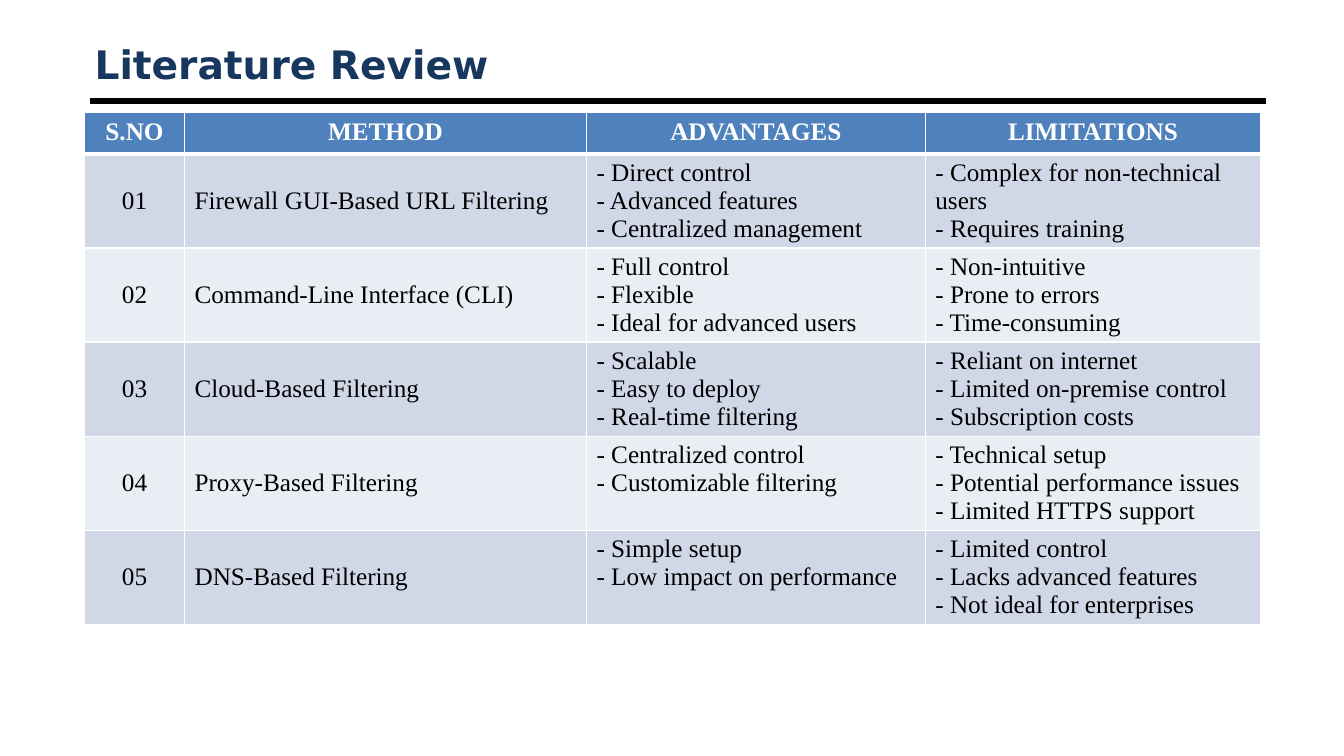
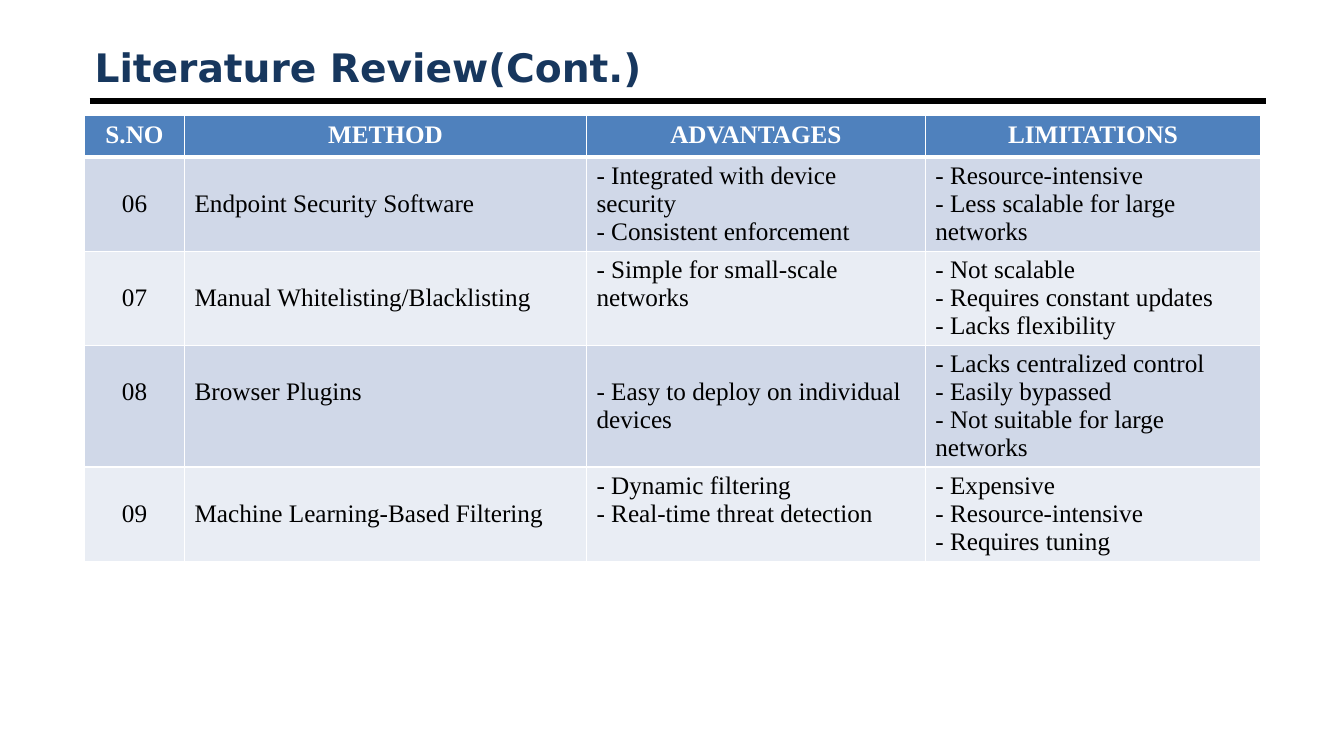
from lxml import etree
from pptx import Presentation, oxml
from pptx.dml.color import RGBColor
from pptx.enum import shapes, text
from pptx.util import Cm, Pt

NAVY, BLUE, BLACK, WHITE = "17375E", "4F81BD", "000000", "FFFFFF"
BANDS = ["D0D8E8", "E9EDF4"]
DRAWING_NS = "http://schemas.openxmlformats.org/drawingml/2006/main"

LEFT, WIDTH = 2.13, 29.64
COLUMN_WIDTHS = [2.52, 10.13, 8.54, 8.45]
HEADER_HEIGHT, ROW_HEIGHT, TALL_ROW_HEIGHT = 1.04, 2.37, 3.07
SECOND_LINE_MARGIN = 0.83  # starts the cell text level with the second line
TALL_ROW = "08"

HEADINGS = ["S.NO", "METHOD", "ADVANTAGES", "LIMITATIONS"]
REVIEWS = [
    ("Literature Review", 0.94, 2.84, [
        ("01", "Firewall GUI-Based URL Filtering",
         "- Direct control\n- Advanced features\n- Centralized management",
         "- Complex for non-technical users\n- Requires training"),
        ("02", "Command-Line Interface (CLI)",
         "- Full control\n- Flexible\n- Ideal for advanced users",
         "- Non-intuitive\n- Prone to errors\n- Time-consuming"),
        ("03", "Cloud-Based Filtering",
         "- Scalable\n- Easy to deploy\n- Real-time filtering",
         "- Reliant on internet\n- Limited on-premise control\n- Subscription costs"),
        ("04", "Proxy-Based Filtering",
         "- Centralized control\n- Customizable filtering",
         "- Technical setup\n- Potential performance issues\n- Limited HTTPS support"),
        ("05", "DNS-Based Filtering",
         "- Simple setup\n- Low impact on performance",
         "- Limited control\n- Lacks advanced features\n- Not ideal for enterprises"),
    ]),
    ("Literature Review(Cont.)", 1.02, 2.92, [
        ("06", "Endpoint Security Software",
         "- Integrated with device security\n- Consistent enforcement",
         "- Resource-intensive\n- Less scalable for large networks"),
        ("07", "Manual Whitelisting/Blacklisting",
         "- Simple for small-scale networks",
         "- Not scalable\n- Requires constant updates\n- Lacks flexibility"),
        ("08", "Browser Plugins",
         "- Easy to deploy on individual devices",
         "- Lacks centralized control\n- Easily bypassed\n- Not suitable for large networks"),
        ("09", "Machine Learning-Based Filtering",
         "- Dynamic filtering\n- Real-time threat detection",
         "- Expensive\n- Resource-intensive\n- Requires tuning"),
    ]),
]


def rgb(value):
    return RGBColor.from_string(value)


def add_borders(cell, top, bottom):
    """Draw white cell borders; top and bottom widths are in points."""
    properties = cell._tc.get_or_add_tcPr()
    widths = {"lnL": 1, "lnR": 1, "lnT": top, "lnB": bottom}
    for position, (side, width) in enumerate(widths.items()):
        border = oxml.parse_xml(
            f'<a:{side} xmlns:a="{DRAWING_NS}" w="{Pt(width)}">'
            f'<a:solidFill><a:srgbClr val="{WHITE}"/></a:solidFill></a:{side}>')
        properties.insert(position, border)


prs = Presentation()
prs.slide_width, prs.slide_height = Cm(33.87), Cm(19.05)
title_only = prs.slide_layouts[5]

for heading, title_top, table_top, methods in REVIEWS:
    slide = prs.slides.add_slide(title_only)

    rule = slide.shapes.add_connector(
        shapes.MSO_CONNECTOR.STRAIGHT, Cm(2.26), Cm(2.54), Cm(31.9), Cm(2.54))
    rule.line.color.rgb = rgb(BLACK)
    rule.line.width = Pt(4.5)
    etree.SubElement(rule._element.spPr, f"{{{DRAWING_NS}}}effectLst")

    title = slide.shapes.title
    title.left, title.top = Cm(LEFT), Cm(title_top)
    title.width, title.height = Cm(WIDTH), Cm(1.35)
    title.text = heading
    title.text_frame.auto_size = text.MSO_AUTO_SIZE.NONE
    title.text_frame.vertical_anchor = text.MSO_ANCHOR.MIDDLE
    title_line = title.text_frame.paragraphs[0]
    title_line.alignment = text.PP_ALIGN.LEFT
    title_line.font.name = "DejaVu Sans"
    title_line.font.size = Pt(28)
    title_line.font.bold = True
    title_line.font.color.rgb = rgb(NAVY)

    heights = [HEADER_HEIGHT] + [
        TALL_ROW_HEIGHT if method[0] == TALL_ROW else ROW_HEIGHT for method in methods]
    comparison = slide.shapes.add_table(
        len(heights), len(HEADINGS), Cm(LEFT), Cm(table_top),
        Cm(WIDTH), Cm(sum(heights))).table
    for column, width in zip(comparison.columns, COLUMN_WIDTHS):
        column.width = Cm(width)

    for r, entries in enumerate([HEADINGS] + methods):
        is_header = r == 0
        comparison.rows[r].height = Cm(heights[r])
        for c, entry in enumerate(entries):
            cell = comparison.cell(r, c)
            cell.text = entry
            cell.fill.solid()
            cell.fill.fore_color.rgb = rgb(BLUE if is_header else BANDS[(r - 1) % 2])
            add_borders(cell, top=3 if r == 1 else 1, bottom=3 if is_header else 1)
            if not is_header and (c < 2 or (c == 2 and entries[0] == TALL_ROW)):
                cell.margin_top = Cm(SECOND_LINE_MARGIN)
            for paragraph in cell.text_frame.paragraphs:
                centred = is_header or c == 0
                paragraph.alignment = text.PP_ALIGN.CENTER if centred else text.PP_ALIGN.LEFT
                paragraph.font.name = "Times New Roman"
                paragraph.font.size = Pt(18)
                paragraph.font.bold = is_header
                paragraph.font.color.rgb = rgb(WHITE if is_header else BLACK)

prs.save("out.pptx")
